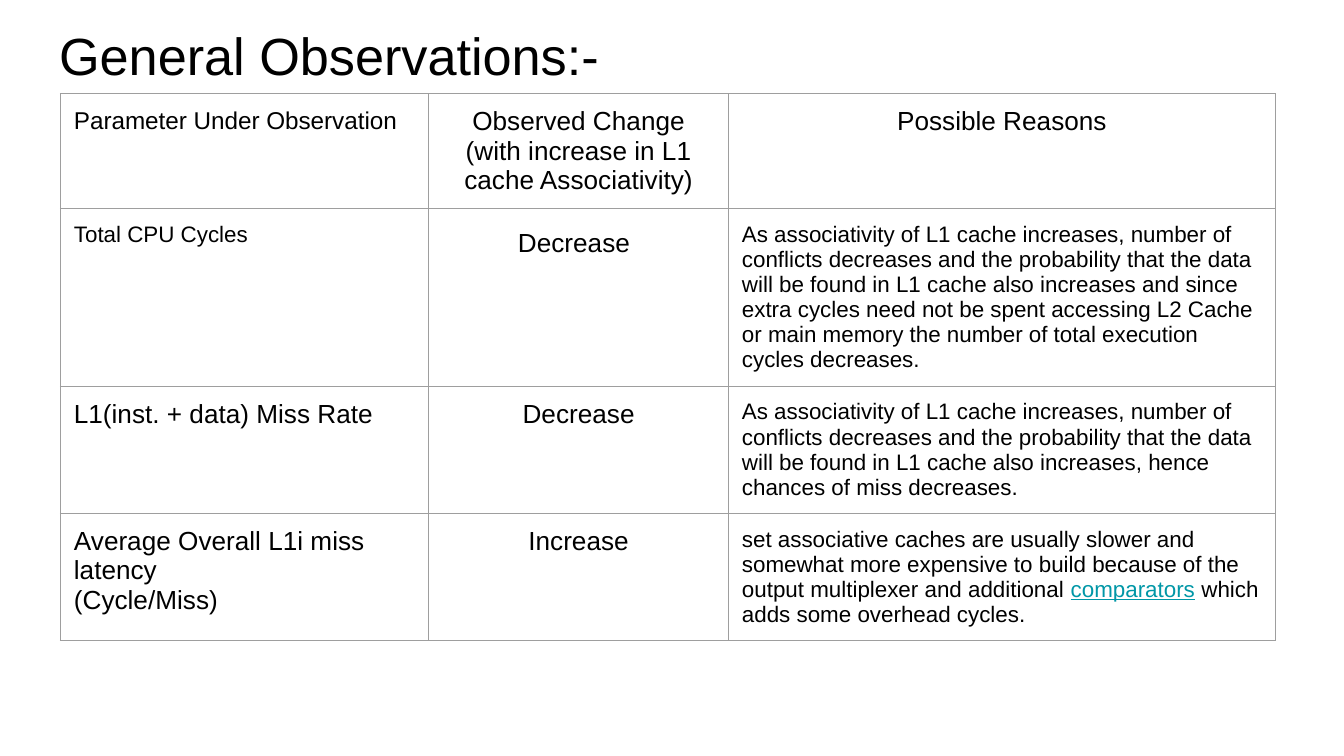
import pptx
import pptx.dml.color
import pptx.enum.text
import pptx.oxml
import pptx.oxml.ns
import pptx.util
from lxml import etree

Pt = pptx.util.Pt
ALIGN = pptx.enum.text.PP_ALIGN
ANCHOR = pptx.enum.text.MSO_ANCHOR


def color(hex_string):
    return pptx.dml.color.RGBColor.from_string(hex_string)


def add_text(paragraph, text, *, size, font="Arial", ink="000000",
             align=ALIGN.LEFT, underline=False):
    paragraph.alignment = align
    run = paragraph.add_run()
    run.text = text
    run.font.name = font
    run.font.size = Pt(size)
    run.font.bold = False
    run.font.underline = underline
    run.font.color.rgb = color(ink)


class SlideBuilder:
    inset = 7.2
    border_color = "9E9E9E"
    border_width = 0.75

    def __init__(self, slide):
        self.slide = slide

    def set_margins(self, target):
        for side in ("left", "right", "top", "bottom"):
            setattr(target, "margin_" + side, Pt(self.inset))

    def title(self, text, left, top, width, height, size):
        shape = self.slide.shapes.title
        shape.left, shape.top = Pt(left), Pt(top)
        shape.width, shape.height = Pt(width), Pt(height)
        frame = shape.text_frame
        self.set_margins(frame)
        frame.word_wrap = True
        frame.auto_size = pptx.enum.text.MSO_AUTO_SIZE.NONE
        frame.vertical_anchor = ANCHOR.TOP
        add_text(frame.paragraphs[0], text, size=size)

    def borders(self, cell):
        properties = cell._tc.get_or_add_tcPr()
        for edge in ("a:lnL", "a:lnR", "a:lnT", "a:lnB"):
            line = etree.SubElement(properties, pptx.oxml.ns.qn(edge),
                                    w=str(Pt(self.border_width)))
            fill = etree.SubElement(line, pptx.oxml.ns.qn("a:solidFill"))
            etree.SubElement(fill, pptx.oxml.ns.qn("a:srgbClr"), val=self.border_color)

    def cell(self, cell, paragraphs, align):
        self.set_margins(cell)
        cell.vertical_anchor = ANCHOR.TOP
        self.borders(cell)
        cell.fill.background()
        frame = cell.text_frame
        for index, runs in enumerate(paragraphs):
            paragraph = frame.add_paragraph() if index else frame.paragraphs[0]
            for text, style in runs:
                add_text(paragraph, text, align=align, **style)

    def table(self, rows, left, top, column_widths, row_height, column_aligns):
        frame = self.slide.shapes.add_table(
            len(rows), len(column_widths), Pt(left), Pt(top),
            Pt(sum(column_widths)), Pt(row_height * len(rows)))
        table = frame.table
        table.first_row = table.horz_banding = False
        for column, width in zip(table.columns, column_widths):
            column.width = Pt(width)
        for row_index, row in enumerate(rows):
            table.rows[row_index].height = Pt(row_height)
            for column_index, paragraphs in enumerate(row):
                align = column_aligns[column_index] if row_index else HEADER_ALIGNS[column_index]
                self.cell(table.cell(row_index, column_index), paragraphs, align)


# Text styles and table content: each cell is a list of paragraphs made of runs
SMALL, HEADING, LARGE, WIDE = ({"size": size} for size in (12, 13, 14, 18))
LINK = {"size": 12, "ink": "0097A7", "underline": True}
HEADER_ALIGNS = (ALIGN.LEFT, ALIGN.CENTER, ALIGN.CENTER)
BODY_ALIGNS = (ALIGN.LEFT, ALIGN.CENTER, ALIGN.LEFT)
REASON = ("As associativity of L1 cache increases, number of conflicts decreases and "
          "the probability that the data will be found in L1 cache also increases")

OBSERVATIONS = [
    [
        [[("Parameter Under Observation", HEADING)]],
        [[("Observed Change", LARGE)],
         [("(with increase in L1 cache Associativity)", LARGE)]],
        [[("Possible Reasons", LARGE)]],
    ],
    [
        [[("Total CPU Cycles", SMALL)]],
        [[("Decrease", LARGE), (" ", WIDE)]],
        [[(REASON + " and since extra cycles need not be spent accessing L2 Cache or main "
           "memory the number of total execution cycles decreases.", SMALL)]],
    ],
    [
        [[("L1(inst. + data) Miss Rate", LARGE)]],
        [[("Decrease", LARGE)]],
        [[(REASON + ", hence chances of miss decreases.", SMALL)]],
    ],
    [
        [[("Average Overall L1i miss latency", LARGE)], [("(Cycle/Miss)", LARGE)]],
        [[("Increase", LARGE)]],
        [[("set associative caches are usually slower and somewhat more expensive to build "
           "because of the output multiplexer and additional ", SMALL),
          ("comparators", LINK), (" which adds some overhead cycles.", SMALL)]],
    ],
]


def main():
    presentation = pptx.Presentation()
    presentation.slide_width, presentation.slide_height = Pt(720), Pt(405)
    slide = presentation.slides.add_slide(presentation.slide_layouts[5])
    builder = SlideBuilder(slide)

    # Title
    builder.title("General Observations:-", 24.5, 5, 671, 45.4, size=28)

    # Observations table; rows grow to fit their text
    builder.table(OBSERVATIONS, 32.4, 50.2, (197.3, 160.6, 293), 30.2, BODY_ALIGNS)

    presentation.save("out.pptx")


if __name__ == "__main__":
    main()
